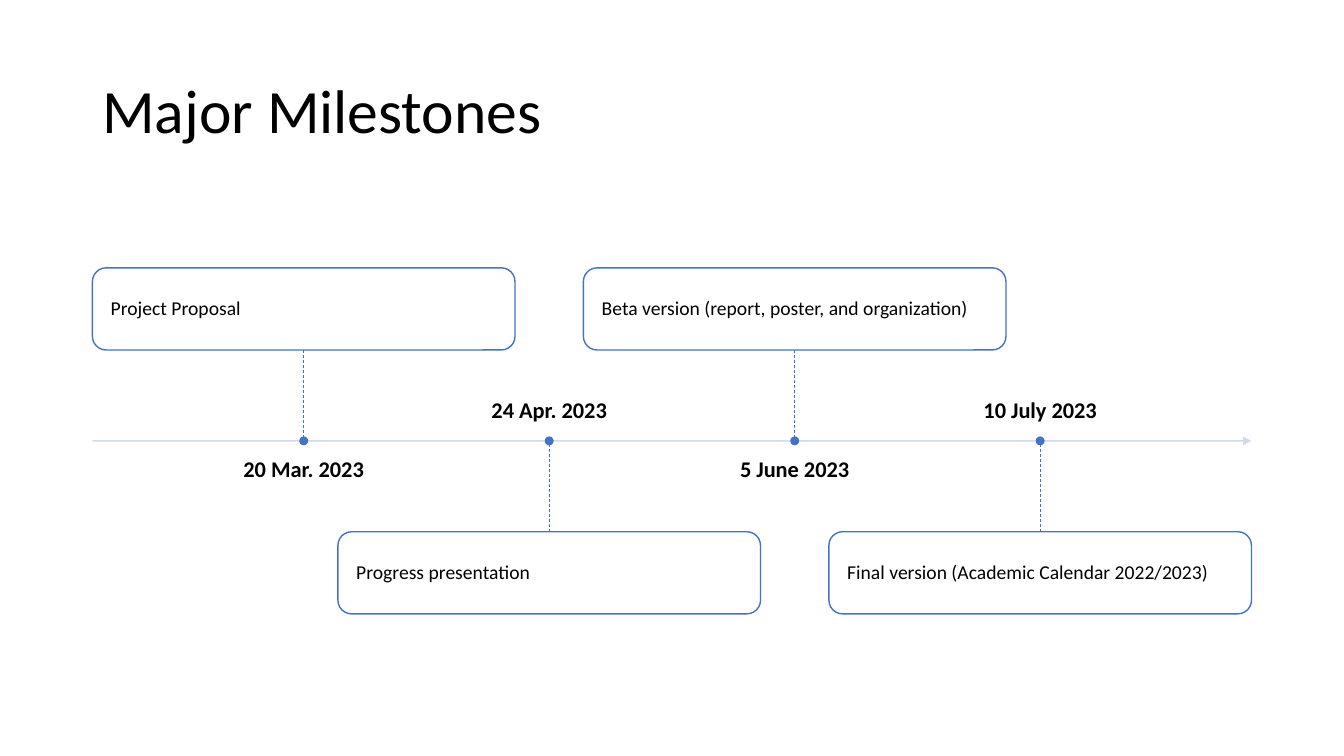
from lxml import etree
from pptx import Presentation
from pptx.dml.color import RGBColor
from pptx.enum.dml import MSO_LINE
from pptx.enum.shapes import MSO_CONNECTOR, MSO_SHAPE
from pptx.enum.text import MSO_ANCHOR, PP_ALIGN
from pptx.oxml.ns import qn
from pptx.util import Cm, Pt

BLACK = RGBColor(0x00, 0x00, 0x00)
WHITE = RGBColor(0xFF, 0xFF, 0xFF)
BLUE = RGBColor(0x44, 0x72, 0xC4)
PALE = RGBColor(0xCF, 0xD5, 0xEA)
ROUND, OVAL = MSO_SHAPE.ROUNDED_RECTANGLE, MSO_SHAPE.OVAL
STRAIGHT, DASH = MSO_CONNECTOR.STRAIGHT, MSO_LINE.DASH
TOP, MIDDLE, BOTTOM = MSO_ANCHOR.TOP, MSO_ANCHOR.MIDDLE, MSO_ANCHOR.BOTTOM
LEFT, CENTER = PP_ALIGN.LEFT, PP_ALIGN.CENTER

CARD_W, CARD_H = Cm(10.65), Cm(2.07)
DATE_W, DATE_H = Cm(9.37), Cm(1.37)
DATE_GAP = Cm(0.44)
DOT = Cm(0.19)
STEPS = [
    ("20 Mar. 2023", "Project Proposal"),
    ("24 Apr. 2023", "Progress presentation"),
    ("5 June 2023", "Beta version (report, poster, and organization)"),
    ("10 July 2023", "Final version (Academic Calendar 2022/2023)"),
]


def write(shape, text, size, anchor, align=LEFT, bold=False, inset=None):
    """Put one paragraph of text into a shape."""
    frame = shape.text_frame
    frame.word_wrap = True
    frame.vertical_anchor = anchor
    if inset is not None:
        frame.margin_left = frame.margin_right = inset
        frame.margin_top = frame.margin_bottom = inset
    para = frame.paragraphs[0]
    para.text = text
    para.alignment = align
    para.line_spacing = 0.9
    font = para.font
    font.name, font.size, font.bold = "Calibri", Pt(size), bold
    font.color.rgb = BLACK


def add_line(slide, start, end, color, width):
    """Draw a straight line without a shadow."""
    line = slide.shapes.add_connector(STRAIGHT, *start, *end)
    line.line.color.rgb = color
    line.line.width = Pt(width)
    etree.SubElement(line._element.spPr, qn("a:effectLst"))
    return line


def add_form(slide, kind, left, top, width, height, fill):
    """Draw a filled preset shape with a blue outline."""
    form = slide.shapes.add_shape(kind, left, top, width, height)
    form.shadow.inherit = False
    form.fill.solid()
    form.fill.fore_color.rgb = fill
    form.line.color.rgb = BLUE
    form.line.width = Pt(1)
    return form


def add_title(slide, left, top, width, height):
    """Place the slide title."""
    box = slide.shapes.add_textbox(left, top, width, height)
    write(box, "Major Milestones", 44, MIDDLE)


def add_axis(slide, left, width, mid):
    """Draw the time axis with its arrowhead."""
    axis = add_line(slide, (left, mid), (left + width, mid), PALE, 1)
    outline = axis.line._ln
    shade = outline.find(".//" + qn("a:srgbClr"))
    etree.SubElement(shade, qn("a:alpha"), val="90000")
    etree.SubElement(outline, qn("a:tailEnd"), type="triangle")


def add_step(slide, left, top, height, date, text, above):
    """Place one milestone with its card above or below the axis."""
    mid = top + height // 2
    center = left + CARD_W // 2
    card_top = top if above else top + height - CARD_H
    edge = card_top + CARD_H if above else card_top
    date_top = mid + DATE_GAP if above else mid - DATE_GAP - DATE_H

    card = add_form(slide, ROUND, left, card_top, CARD_W, CARD_H, WHITE)
    write(card, text, 14, MIDDLE, inset=Cm(0.36))
    stem = add_line(slide, (center, edge), (center, mid), BLUE, 0.5)
    stem.line.dash_style = DASH
    label = slide.shapes.add_textbox(center - DATE_W // 2, date_top, DATE_W, DATE_H)
    write(label, date, 16, TOP if above else BOTTOM, CENTER, True, 0)
    add_form(slide, OVAL, center - DOT // 2, mid - DOT // 2, DOT, DOT, BLUE)


def add_timeline(slide, left, top, width, height):
    """Spread the milestones evenly along the axis."""
    add_axis(slide, left, width, top + height // 2)
    pitch = (width - CARD_W) // (len(STEPS) - 1)
    for i, (date, text) in enumerate(STEPS):
        add_step(slide, left + i * pitch, top, height, date, text, i % 2 == 0)


def main():
    """Build and save the slide."""
    deck = Presentation()
    deck.slide_width, deck.slide_height = Cm(33.87), Cm(19.05)
    slide = deck.slides.add_slide(deck.slide_layouts[6])
    add_title(slide, Cm(2.33), Cm(1.01), Cm(29.21), Cm(3.68))
    add_timeline(slide, Cm(2.33), Cm(6.75), Cm(29.21), Cm(8.72))
    deck.save("out.pptx")


if __name__ == "__main__":
    main()
